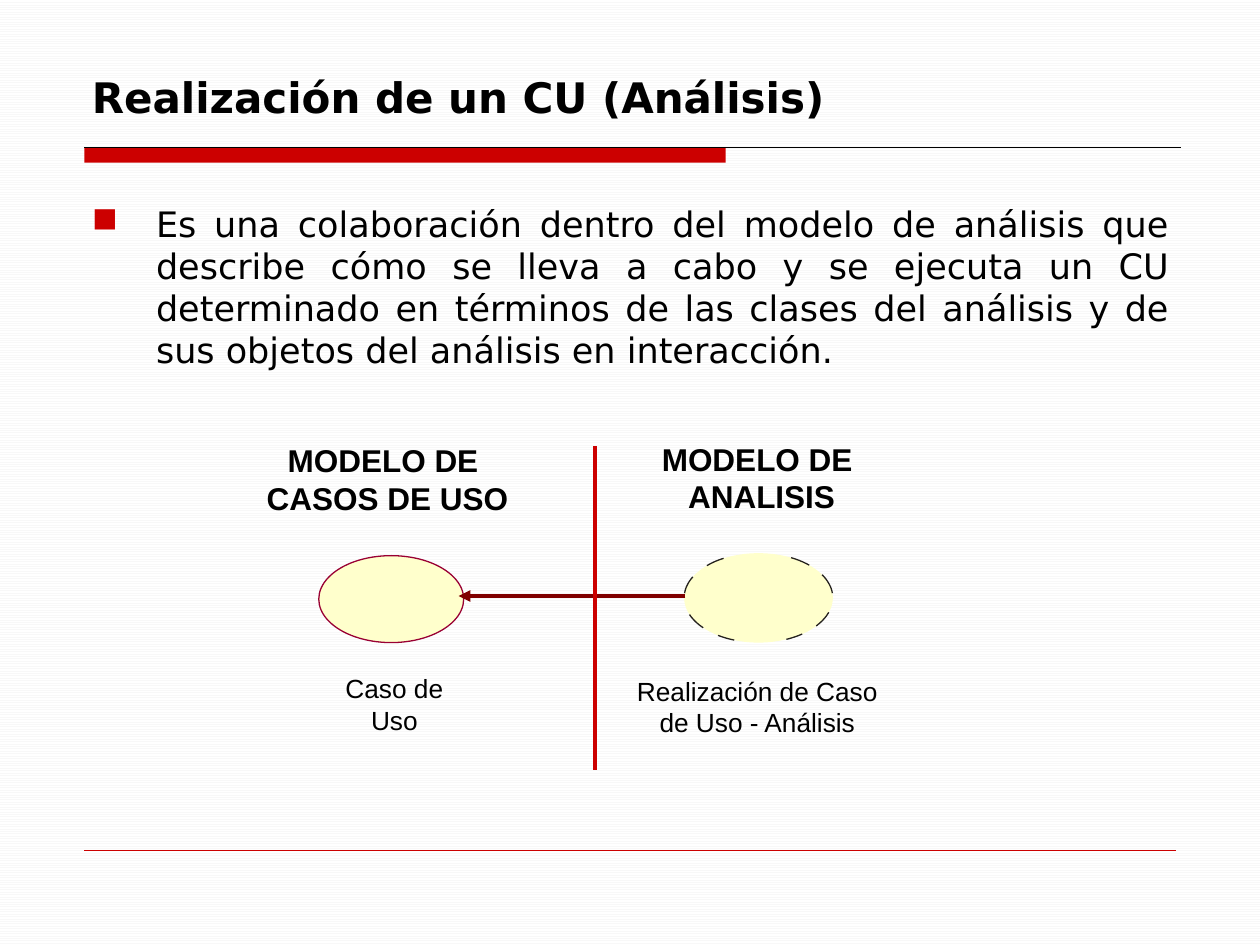
"""Builds the slide on the analysis realization of a use case."""
from math import cos, radians, sin

from lxml import etree
from pptx import Presentation
from pptx.dml.color import RGBColor
from pptx.enum.dml import MSO_PATTERN
from pptx.enum.shapes import MSO_CONNECTOR, MSO_SHAPE
from pptx.enum.text import MSO_ANCHOR, PP_ALIGN
from pptx.oxml.ns import qn
from pptx.util import Inches, Pt

STRAIGHT = MSO_CONNECTOR.STRAIGHT
OVAL, RECTANGLE = MSO_SHAPE.OVAL, MSO_SHAPE.RECTANGLE
LEFT, CENTER, JUSTIFY = PP_ALIGN.LEFT, PP_ALIGN.CENTER, PP_ALIGN.JUSTIFY
TOP, BOTTOM = MSO_ANCHOR.TOP, MSO_ANCHOR.BOTTOM
LIGHT_HORIZONTAL = MSO_PATTERN.LIGHT_HORIZONTAL
RED, CREAM = "CC0000", "FFFFCC"


def rgb(color):
    """Turn a hex string into a colour."""
    return RGBColor.from_string(color)


def add_text(text, box, size=15, font="Arial", bold=False, align=CENTER, anchor=TOP):
    """Add a wrapped text box with one paragraph per line of text."""
    tf = s.shapes.add_textbox(*map(Inches, box)).text_frame
    tf.word_wrap = True
    tf.vertical_anchor = anchor
    for i, line in enumerate(text.split("\n")):
        p = tf.add_paragraph() if i else tf.paragraphs[0]
        p.alignment = align
        r = p.add_run()
        r.text = line
        r.font.size, r.font.name, r.font.bold = Pt(size), font, bold
        r.font.color.rgb = rgb("000000")
    return tf


prs = Presentation()
prs.slide_width, prs.slide_height = Inches(10), Inches(7.5)
s = prs.slides.add_slide(prs.slide_layouts[6])
fill = s.background.fill
fill.patterned()
fill.pattern = LIGHT_HORIZONTAL
fill.fore_color.rgb, fill.back_color.rgb = rgb("F8F8F8"), rgb("FFFFFF")

for kind, box, color, outline in [
    (RECTANGLE, (0.67, 1.17, 5.09, 0.12), RED, None),
    (OVAL, (2.53, 4.41, 1.15, 0.69), CREAM, "990033"),
    (OVAL, (5.43, 4.39, 1.18, 0.71), CREAM, None),
]:
    sp = s.shapes.add_shape(kind, *map(Inches, box))
    sp.shadow.inherit = False
    sp.fill.solid()
    sp.fill.fore_color.rgb = rgb(color)
    if outline:
        sp.line.color.rgb = rgb(outline)
        sp.line.width = Pt(0.75)
    else:
        sp.line.fill.background()

# angles in degrees of the dashes around the analysis ellipse
dashes = [(64, 47), (31, 6), (-19, -39), (-54, -68),
          (-109, -123), (-138, -158), (174, 152), (134, 118)]
for start, end in dashes:
    angles = [radians(start + (end - start) * i / 8) for i in range(9)]
    points = [(Inches(6.02 + 0.59 * cos(a)), Inches(4.745 - 0.355 * sin(a)))
              for a in angles]
    fb = s.shapes.build_freeform(*points[0])
    fb.add_line_segments(points[1:], close=False)
    sp = fb.convert_to_shape()
    sp.shadow.inherit = False
    sp.fill.background()
    sp.line.color.rgb = rgb("25221E")
    sp.line.width = Pt(0.75)

for ends, color, width, arrow in [
    ((0.67, 1.17, 9.37, 1.17), "000000", 0.75, False),
    ((0.67, 6.75, 9.33, 6.75), RED, 0.25, False),
    ((5.44, 4.73, 3.64, 4.73), "800000", 2.25, True),
    ((4.72, 3.54, 4.72, 6.11), RED, 2.25, False),
]:
    sp = s.shapes.add_connector(STRAIGHT, *map(Inches, ends))
    sp.line.color.rgb = rgb(color)
    sp.line.width = Pt(width)
    if arrow:
        etree.SubElement(sp.line._get_or_add_ln(), qn("a:tailEnd"), type="triangle")
    etree.SubElement(sp._element.spPr, qn("a:effectLst"))

add_text("Realización de un CU (Análisis)", (0.63, 0.16, 8.75, 0.86), size=24,
         font="DejaVu Sans", bold=True, align=LEFT, anchor=BOTTOM)
tf = add_text("Es una colaboración dentro del modelo de análisis que describe cómo se "
              "lleva a cabo y se ejecuta un CU determinado en términos de las clases "
              "del análisis y de sus objetos del análisis en interacción.",
              (0.63, 1.56, 8.75, 1.5), size=20, font="DejaVu Sans", align=JUSTIFY)
pPr = tf.paragraphs[0]._p.get_or_add_pPr()
pPr.set("marL", str(Inches(0.51)))
pPr.set("indent", str(-Inches(0.51)))
bullet_color = etree.SubElement(pPr, qn("a:buClr"))
etree.SubElement(bullet_color, qn("a:srgbClr"), val=RED)
etree.SubElement(pPr, qn("a:buChar"), char="■")

add_text("MODELO DE \nCASOS DE USO", (1.93, 3.45, 2.29, 0.77), size=18, bold=True)
add_text("MODELO DE \nANALISIS", (5.08, 3.44, 1.93, 0.77), size=18, bold=True)
add_text("Caso de Uso", (2.48, 5.29, 1.3, 0.6))
add_text("Realización de Caso de Uso - Análisis", (4.92, 5.31, 2.18, 0.86))

prs.save("out.pptx")
